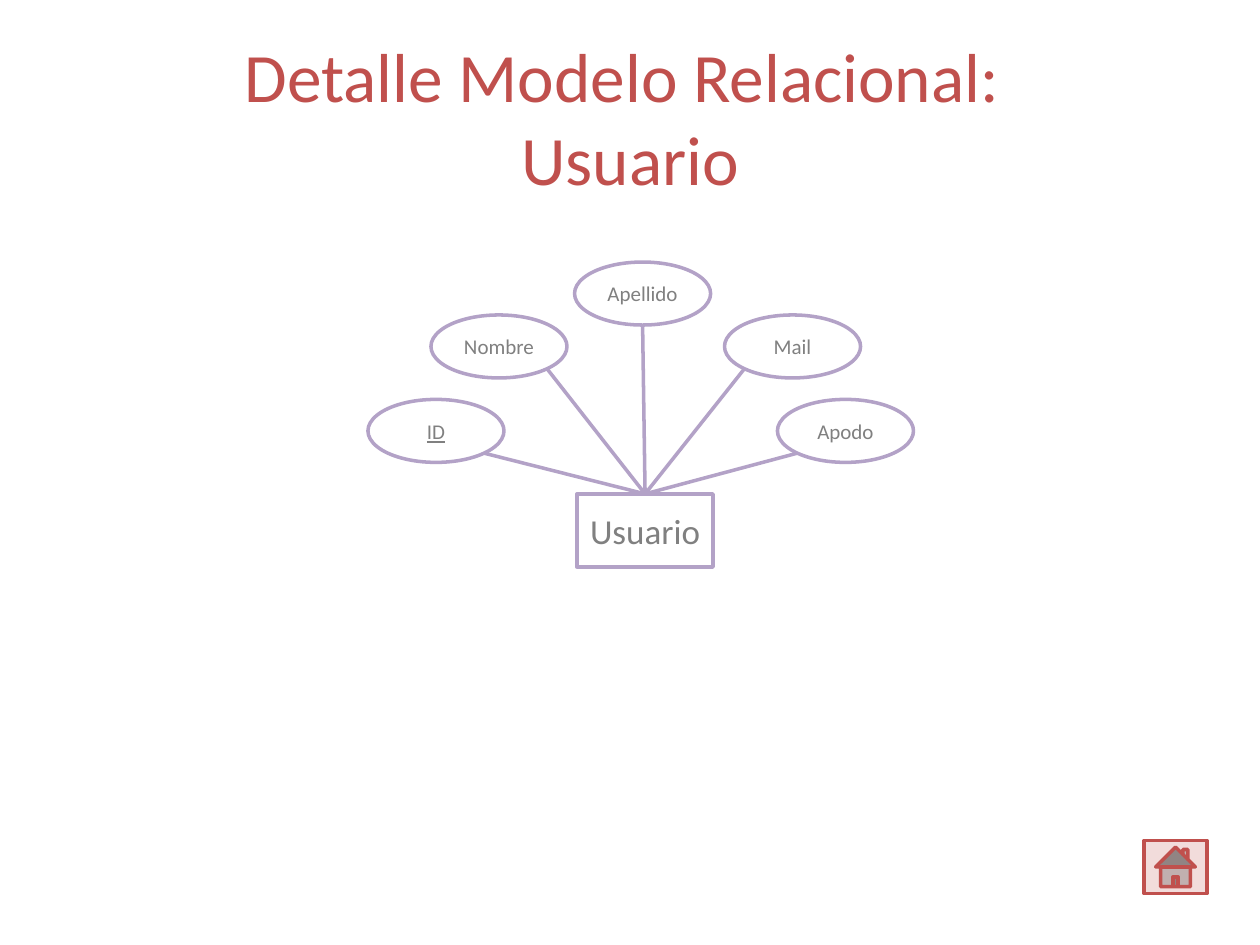
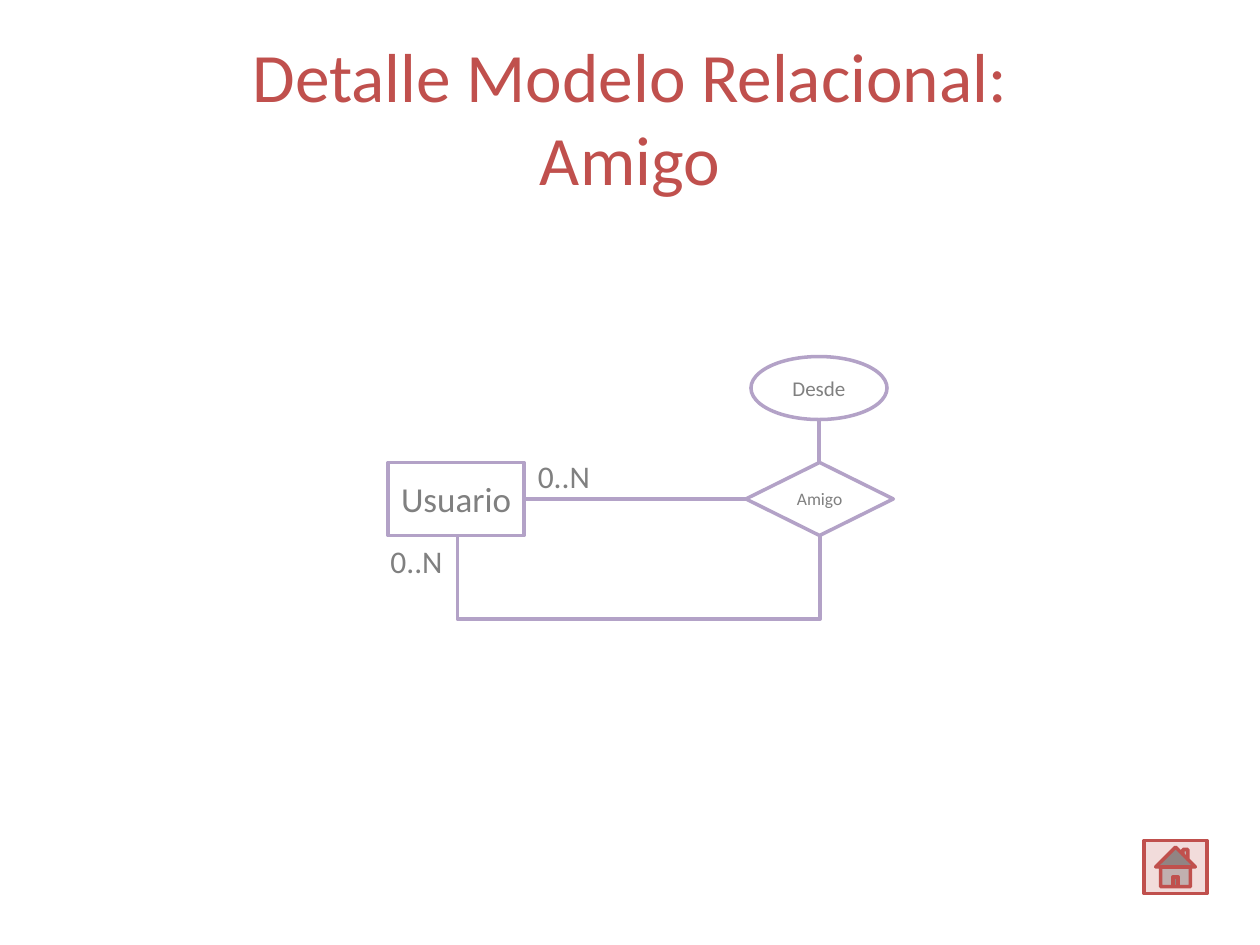
from math import sqrt

from lxml.etree import SubElement
from pptx import Presentation
from pptx.dml.color import RGBColor
from pptx.enum.shapes import MSO_CONNECTOR as Connector, MSO_SHAPE as Shape
from pptx.enum.text import MSO_ANCHOR as Anchor, MSO_AUTO_SIZE as AutoSize, PP_ALIGN as Align
from pptx.oxml.ns import qn
from pptx.util import Inches, Pt

RED, PINK, LILAC, GREY, WHITE = "C0504D", "F2DCDB", "B3A2C7", "808080", "FFFFFF"
LINE_WIDTH = 2
ENTITY_SIZE = (1.08, 0.58)
ATTRIBUTE_SIZE = (1.08, 0.5)
RELATION_SIZE = (1.17, 0.58)
TITLE = {"size": Pt(39.6), "name": "Calibri"}
ENTITY = {"size": Pt(20), "name": "Calibri"}
ATTRIBUTE = {"size": Pt(12), "name": "Calibri"}
KEY = {**ATTRIBUTE, "underline": True}
RELATION = {"size": Pt(10), "name": "Calibri"}
CARDINALITY = {"size": Pt(18), "name": "Calibri"}


def set_color(color_format, value):
    color_format.rgb = RGBColor.from_string(value)


def set_attributes(target, values):
    for name, value in values.items():
        setattr(target, name, value)


def write_text(shape, text, font_values, color, frame_values, alignment):
    frame = shape.text_frame
    frame.text = text
    set_attributes(frame, frame_values)
    for paragraph in frame.paragraphs:
        paragraph.alignment = alignment
        set_attributes(paragraph.font, font_values)
        set_color(paragraph.font.color, color)


def style_line(line, color):
    set_color(line.color, color)
    line.width = Pt(LINE_WIDTH)


def add_box(slide, kind, position, size, fill, line):
    shape = slide.shapes.add_shape(kind, *map(Inches, position + size))
    shape.shadow.inherit = False
    shape.fill.solid()
    set_color(shape.fill.fore_color, fill)
    style_line(shape.line, line)
    return shape


def add_node(slide, kind, text, position, size, font_values):
    shape = add_box(slide, kind, position, size, WHITE, LILAC)
    frame_values = {"word_wrap": False, "vertical_anchor": Anchor.MIDDLE}
    write_text(shape, text, font_values, GREY, frame_values, Align.CENTER)


def add_link(slide, start, end, kind=Connector.STRAIGHT):
    connector = slide.shapes.add_connector(kind, *map(Inches, start + end))
    style_line(connector.line, LILAC)
    SubElement(connector._element.spPr, qn("a:effectLst"))
    return connector


def add_loop(slide, start, end, depth):
    width, height = end[1] - start[1], start[0] - end[0]
    left = (start[0] + end[0] - width) / 2
    top = (start[1] + end[1] - height) / 2
    connector = add_link(slide, (left, top), (left + width, top + height), Connector.ELBOW)
    properties = connector._element.spPr
    properties.find(qn("a:xfrm")).set("rot", str(90 * 60000))
    adjustments = properties.find(qn("a:prstGeom")).find(qn("a:avLst"))
    ratio = round(depth / width * 100000)
    SubElement(adjustments, qn("a:gd"), name="adj1", fmla=f"val {ratio}")


def add_cardinality(slide, position):
    box = slide.shapes.add_textbox(*map(Inches, position + (0.67, 0.4)))
    write_text(box, "0..N", CARDINALITY, GREY, {"word_wrap": True}, Align.LEFT)


def add_page(presentation, title_text):
    slide = presentation.slides.add_slide(presentation.slide_layouts[5])
    title = slide.shapes.title
    bounds = {"left": 0.5, "top": 0.3, "width": 9, "height": 1.25}
    set_attributes(title, {name: Inches(value) for name, value in bounds.items()})
    frame_values = {"word_wrap": True, "vertical_anchor": Anchor.MIDDLE, "auto_size": AutoSize.NONE}
    write_text(title, title_text, TITLE, RED, frame_values, Align.CENTER)
    add_box(slide, Shape.ACTION_BUTTON_HOME, (9.08, 6.67), (0.5, 0.42), PINK, RED)
    return slide


def ellipse_exit(position, side):
    width, height = ATTRIBUTE_SIZE
    across, down = (side / sqrt(2), 1 / sqrt(2)) if side else (0, 1)
    return (position[0] + width / 2 * (1 + across), position[1] + height / 2 * (1 + down))


def build_user_page(presentation):
    slide = add_page(presentation, "Detalle Modelo Relacional: \vUsuario")
    entity_position = (4.58, 3.92)
    entity_top = (entity_position[0] + ENTITY_SIZE[0] / 2, entity_position[1])
    attributes = [
        ("ID", (2.92, 3.17), 1, KEY),
        ("Nombre", (3.42, 2.5), 1, ATTRIBUTE),
        ("Apellido", (4.56, 2.08), 0, ATTRIBUTE),
        ("Mail", (5.75, 2.5), -1, ATTRIBUTE),
        ("Apodo", (6.17, 3.17), -1, ATTRIBUTE),
    ]
    add_node(slide, Shape.RECTANGLE, "Usuario", entity_position, ENTITY_SIZE, ENTITY)
    for text, position, side, font_values in attributes:
        add_node(slide, Shape.OVAL, text, position, ATTRIBUTE_SIZE, font_values)
        add_link(slide, ellipse_exit(position, side), entity_top)


def build_friend_page(presentation):
    slide = add_page(presentation, "Detalle Modelo Relacional:\vAmigo")
    add_node(slide, Shape.RECTANGLE, "Usuario", (3.08, 3.67), ENTITY_SIZE, ENTITY)
    add_node(slide, Shape.DIAMOND, "Amigo", (5.92, 3.67), RELATION_SIZE, RELATION)
    add_node(slide, Shape.OVAL, "Desde", (5.96, 2.83), ATTRIBUTE_SIZE, ATTRIBUTE)
    add_link(slide, (6.5, 3.67), (6.5, 3.33))
    add_link(slide, (4.17, 3.96), (5.92, 3.96))
    add_loop(slide, (6.51, 4.24), (3.63, 4.26), 0.67)
    for position in ((4.17, 3.58), (3, 4.25)):
        add_cardinality(slide, position)


def main():
    presentation = Presentation()
    presentation.slide_width = Inches(10)
    presentation.slide_height = Inches(7.5)
    build_user_page(presentation)
    build_friend_page(presentation)
    presentation.save("out.pptx")


if __name__ == "__main__":
    main()
